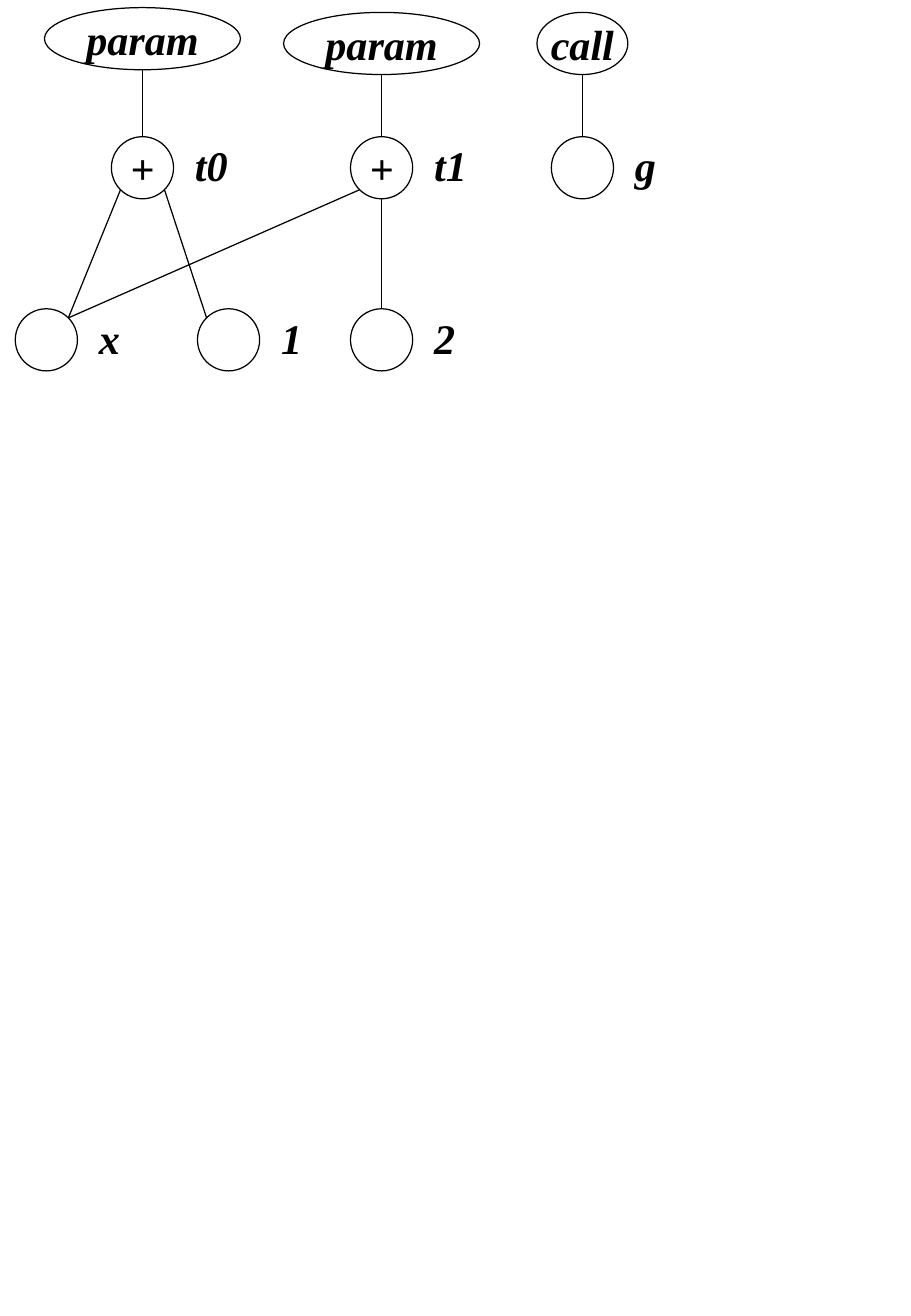
from pptx import Presentation
from pptx.dml.color import RGBColor
from pptx.enum.shapes import MSO_CONNECTOR as LINK, MSO_SHAPE as SHAPE
from pptx.enum.text import MSO_ANCHOR as ANCHOR, PP_ALIGN as ALIGN
from pptx.oxml.ns import qn
from pptx.util import Cm, Pt
from lxml import etree

BLACK = RGBColor(0, 0, 0)
SIZE = 1.3
DIAG = 0.5 ** 0.5
TOP, MID, LOW = 0.91, 3.51, 7.11

prs = Presentation()
prs.slide_width = Cm(19.05)
prs.slide_height = Cm(27.53)
slide = prs.slides.add_slide(prs.slide_layouts[6])


def add(kind, x, y, width, height):
    shape = slide.shapes.add_shape(kind, Cm(x), Cm(y), Cm(width), Cm(height))
    shape.shadow.inherit = False
    shape.fill.background()
    return shape


def write(shape, text, align, inset):
    frame = shape.text_frame
    frame.word_wrap = False
    frame.vertical_anchor = ANCHOR.MIDDLE
    frame.margin_left = frame.margin_right = Cm(inset)
    frame.margin_top = frame.margin_bottom = Cm(0.13)
    frame.text = text
    para = frame.paragraphs[0]
    para.alignment = align
    font = para.runs[0].font
    font.name = "Times New Roman"
    font.size = Pt(25)
    font.bold = font.italic = True
    font.color.rgb = BLACK


nodes = {
    "param0": (2.98, 0.81, 4.1, "param", ""),
    "param1": (7.98, TOP, 4.1, "param", ""),
    "call": (12.18, TOP, 1.9, "call", ""),
    "t0": (2.98, MID, SIZE, "+", "t0"),
    "t1": (7.98, MID, SIZE, "+", "t1"),
    "g": (12.18, MID, SIZE, "", "g"),
    "x": (0.97, LOW, SIZE, "", "x"),
    "1": (4.78, LOW, SIZE, "", "1"),
    "2": (7.98, LOW, SIZE, "", "2"),
}
for x, y, width, text, label in nodes.values():
    oval = add(SHAPE.OVAL, x - width / 2, y - SIZE / 2, width, SIZE)
    oval.line.color.rgb = BLACK
    oval.line.width = Pt(0.75)
    if text:
        write(oval, text, ALIGN.CENTER, 0.25)
    if label:
        box = add(SHAPE.ROUNDED_RECTANGLE, x + 0.76, y - SIZE / 2, 1.4, 1.19)
        box.line.fill.background()
        write(box, label, ALIGN.LEFT, 0.28)

edges = [
    ("param0", "t0", 0, 0),
    ("param1", "t1", 0, 0),
    ("call", "g", 0, 0),
    ("t0", "x", -DIAG, DIAG),
    ("t0", "1", DIAG, -DIAG),
    ("t1", "x", -DIAG, DIAG),
    ("t1", "2", 0, 0),
]
for start, end, out, into in edges:
    x1, y1, w1 = nodes[start][:3]
    x2, y2, w2 = nodes[end][:3]
    drop = SIZE / 2 * (DIAG if out else 1)
    line = slide.shapes.add_connector(
        LINK.STRAIGHT, Cm(x1 + out * w1 / 2), Cm(y1 + drop),
        Cm(x2 + into * w2 / 2), Cm(y2 - drop))
    line.line.color.rgb = BLACK
    line.line.width = Pt(0.75)
    etree.SubElement(line._element.spPr, qn("a:effectLst"))

prs.save("out.pptx")
